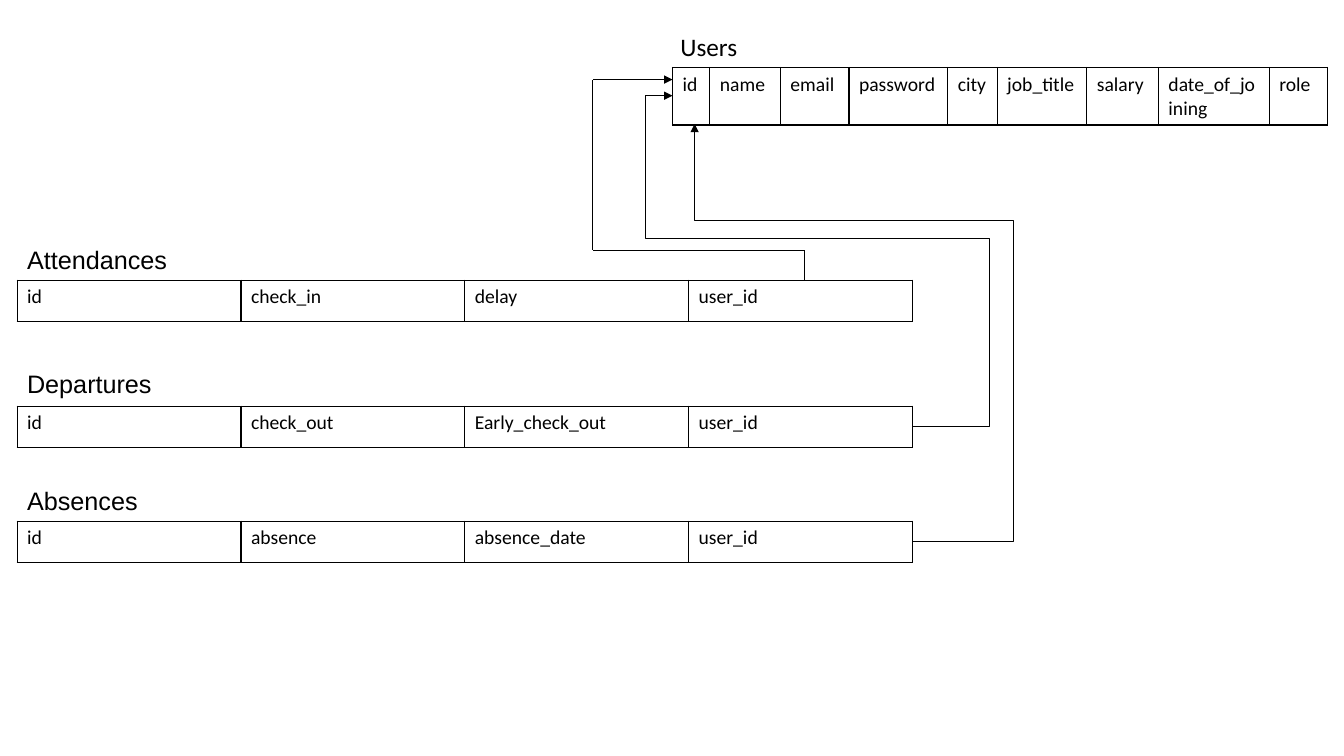
"""Build a slide of the attendance database schema: four tables and their user_id links."""
from dataclasses import dataclass

from lxml import etree
from pptx import Presentation
from pptx.dml.color import RGBColor
from pptx.enum.shapes import MSO_CONNECTOR
from pptx.enum.text import MSO_AUTO_SIZE
from pptx.oxml.ns import qn
from pptx.util import Inches, Pt

STRAIGHT = MSO_CONNECTOR.STRAIGHT
ELBOW = MSO_CONNECTOR.ELBOW
GROW = MSO_AUTO_SIZE.SHAPE_TO_FIT_TEXT


@dataclass(frozen=True)
class Theme:
    ink: str = "000000"
    body_font: str = "Calibri"
    heading_font: str = "Arial"
    heading_size: int = 18
    field_size: int = 14
    border_width: float = 1
    link_width: float = 0.5


theme = Theme()


def write(frame, text, *, font, size):
    run = frame.paragraphs[0].add_run()
    run.text = text
    run.font.name = font
    run.font.size = Pt(size)
    run.font.color.rgb = RGBColor.from_string(theme.ink)


def draw_link(kind, start, end, arrow):
    link = slide.shapes.add_connector(kind, *map(Inches, start + end))
    link.line.color.rgb = RGBColor.from_string(theme.ink)
    link.line.width = Pt(theme.link_width)
    properties = link._element.spPr
    etree.SubElement(properties, qn("a:effectLst"))
    if arrow:
        etree.SubElement(properties.find(qn("a:ln")), qn("a:tailEnd"), type="triangle")
    return properties.find(qn("a:prstGeom"))


deck = Presentation()
deck.slide_width, deck.slide_height = Inches(13.33), Inches(7.5)
slide = deck.slides.add_slide(deck.slide_layouts[6])

user_widths = [0.37, 0.7, 0.68, 0.98, 0.49, 0.89, 0.71, 1.1, 0.58]
record_widths = [2.22] * 4
entities = [
    ("Users", theme.body_font, (6.65, 0.26, 0.87), (6.67, 0.67, 0.57), user_widths,
     ["id", "name", "email", "password", "city", "job_title", "salary", "date_of_joining", "role"]),
    ("Attendances", theme.heading_font, (0.17, 2.37, 1.63), (0.17, 2.78, 0.41), record_widths,
     ["id", "check_in", "delay", "user_id"]),
    ("Departures", theme.heading_font, (0.17, 3.6, 1.73), (0.17, 4.03, 0.41), record_widths,
     ["id", "check_out", "Early_check_out", "user_id"]),
    ("Absences", theme.heading_font, (0.17, 4.77, 1.5), (0.17, 5.17, 0.41), record_widths,
     ["id", "absence", "absence_date", "user_id"]),
]

for entity, font, (name_left, name_top, name_width), (left, top, height), widths, fields in entities:
    heading = slide.shapes.add_textbox(
        Inches(name_left), Inches(name_top), Inches(name_width), Inches(0.4)).text_frame
    heading.word_wrap = True
    heading.auto_size = GROW
    write(heading, entity, font=font, size=theme.heading_size)

    schema = slide.shapes.add_table(
        1, len(fields), Inches(left), Inches(top), Inches(sum(widths)), Inches(height)).table
    schema.first_row = schema.horz_banding = False
    for column, width, field, cell in zip(schema.columns, widths, fields, schema.iter_cells()):
        column.width = Inches(width)
        write(cell.text_frame, field, font=theme.body_font, size=theme.field_size)
        cell_properties = cell._tc.get_or_add_tcPr()
        for side in ("lnL", "lnR", "lnT", "lnB"):
            border = etree.SubElement(
                cell_properties, qn(f"a:{side}"), w=str(Pt(theme.border_width)))
            ink = etree.SubElement(border, qn("a:solidFill"))
            etree.SubElement(ink, qn("a:srgbClr"), val=theme.ink)
        cell.fill.background()

bent_links = [
    ((9.06, 4.23), (6.67, 0.95), "bentConnector5", [-31300, 56900, 111300]),
    ((9.06, 5.37), (6.89, 1.23), "bentConnector4", [-45800, 76800]),
]
for start, end, preset, bends in bent_links:
    geometry = draw_link(ELBOW, start, end, True)
    geometry.set("prst", preset)
    guides = geometry.find(qn("a:avLst"))
    if guides is None:
        guides = etree.SubElement(geometry, qn("a:avLst"))
    for number, bend in enumerate(bends, 1):
        etree.SubElement(guides, qn("a:gd"), name=f"adj{number}", fmla=f"val {bend}")

attendance_route = [(7.98, 2.78), (7.98, 2.48), (5.88, 2.48), (5.88, 0.79), (6.67, 0.79)]
for start, end in zip(attendance_route, attendance_route[1:]):
    draw_link(STRAIGHT, start, end, end == attendance_route[-1])

deck.save("out.pptx")
